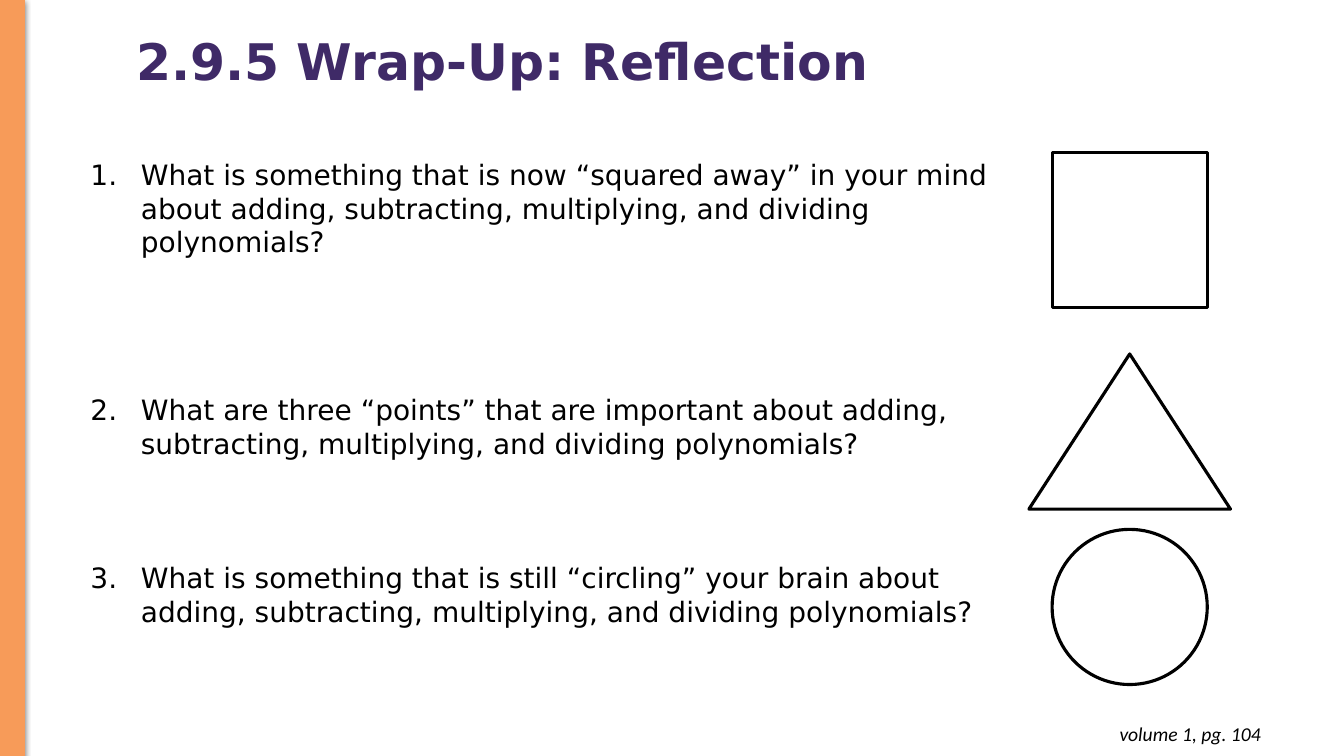
from dataclasses import dataclass

from lxml import etree
from pptx import Presentation
from pptx.dml.color import RGBColor
from pptx.enum.shapes import MSO_SHAPE
from pptx.enum.text import MSO_ANCHOR, PP_ALIGN
from pptx.oxml.ns import qn
from pptx.shapes.autoshape import Shape
from pptx.slide import Slide
from pptx.util import Cm, Pt

RECTANGLE = MSO_SHAPE.RECTANGLE
TRIANGLE = MSO_SHAPE.ISOSCELES_TRIANGLE
OVAL = MSO_SHAPE.OVAL
TOP, MIDDLE = MSO_ANCHOR.TOP, MSO_ANCHOR.MIDDLE
LEFT, RIGHT = PP_ALIGN.LEFT, PP_ALIGN.RIGHT

COLORS = {"bar": "F79B59", "title": "3F2A67", "ink": "000000"}
TEXT_FONT = "DejaVu Sans"
FIGURE_CENTER = 28.47
FIGURE_HEIGHT = 3.91


@dataclass
class Figure:
    preset: MSO_SHAPE
    top: float
    width: float


@dataclass
class TextBlock:
    left: float
    top: float
    width: float
    height: float
    paragraphs: list[str]
    size: float
    font: str = TEXT_FONT
    color: str = "ink"
    bold: bool = False
    italic: bool = False
    alignment: PP_ALIGN = LEFT
    anchor: MSO_ANCHOR = TOP
    vertical_margin: float = 0.13


FIGURES = [
    Figure(RECTANGLE, 3.84, 3.91),
    Figure(TRIANGLE, 8.92, 5.08),
    Figure(OVAL, 13.34, 3.91),
]
PAGE_REFERENCE = TextBlock(
    24.71, 17.93, 7.32, 1.12, ["volume 1, pg. 104"], 14,
    font="Calibri", italic=True, alignment=RIGHT, vertical_margin=0.25,
)
TITLE = TextBlock(
    3.18, 0.79, 29.64, 1.65, ["2.9.5 Wrap-Up: Reflection"], 36,
    color="title", bold=True, anchor=MIDDLE,
)
QUESTIONS = TextBlock(
    2.03, 3.84, 23.39, 12.22,
    [
        "What is something that is now “squared away” in your mind about "
        "adding, subtracting, multiplying, and dividing polynomials?",
        "What are three “points” that are important about adding, "
        "subtracting, multiplying, and dividing polynomials?",
        "What is something that is still “circling” your brain about "
        "adding, subtracting, multiplying, and dividing polynomials?",
    ],
    20,
)
QUESTION_GAPS = [0, 96, 72]


def rgb(name: str) -> RGBColor:
    return RGBColor.from_string(COLORS[name])


def add_shadow(shape: Shape) -> None:
    """Give the shape a soft, half-transparent shadow below it."""
    effects = shape._element.spPr.find(qn("a:effectLst"))
    shadow = etree.SubElement(
        effects, qn("a:outerShdw"), blurRad=str(Pt(4.5)), dist=str(Pt(1.5)),
        dir="5400000", rotWithShape="0",
    )
    color = etree.SubElement(shadow, qn("a:srgbClr"), val=COLORS["ink"])
    etree.SubElement(color, qn("a:alpha"), val="50000")


def add_side_bar(slide: Slide) -> None:
    bar = slide.shapes.add_shape(RECTANGLE, 0, 0, Cm(0.61), Cm(19.08))
    bar.shadow.inherit = False
    bar.fill.solid()
    bar.fill.fore_color.rgb = rgb("bar")
    bar.line.color.rgb = rgb("bar")
    bar.line.width = Pt(0.75)
    add_shadow(bar)


def add_figure(slide: Slide, figure: Figure) -> None:
    shape = slide.shapes.add_shape(
        figure.preset, Cm(FIGURE_CENTER - figure.width / 2), Cm(figure.top),
        Cm(figure.width), Cm(FIGURE_HEIGHT),
    )
    shape.shadow.inherit = False
    shape.fill.background()
    shape.line.color.rgb = rgb("ink")
    shape.line.width = Pt(2.25)


def add_text(slide: Slide, block: TextBlock) -> Shape:
    box = slide.shapes.add_textbox(
        Cm(block.left), Cm(block.top), Cm(block.width), Cm(block.height)
    )
    frame = box.text_frame
    frame.word_wrap = True
    frame.vertical_anchor = block.anchor
    frame.margin_top = frame.margin_bottom = Cm(block.vertical_margin)
    frame.text = "\n".join(block.paragraphs)
    for paragraph in frame.paragraphs:
        paragraph.alignment = block.alignment
        for run in paragraph.runs:
            run.font.name = block.font
            run.font.size = Pt(block.size)
            run.font.bold = block.bold
            run.font.italic = block.italic
            run.font.color.rgb = rgb(block.color)
    return box


def number_questions(box: Shape) -> None:
    for paragraph, gap in zip(box.text_frame.paragraphs, QUESTION_GAPS):
        paragraph.space_before = Pt(gap)
        properties = paragraph._p.get_or_add_pPr()
        properties.set("marL", str(Cm(1.27)))
        properties.set("indent", str(Cm(-1.27)))
        bullet_color = etree.SubElement(properties, qn("a:buClr"))
        etree.SubElement(bullet_color, qn("a:srgbClr"), val=COLORS["ink"])
        etree.SubElement(properties, qn("a:buFont"), typeface=TEXT_FONT)
        etree.SubElement(properties, qn("a:buAutoNum"), type="arabicPeriod")


def main() -> None:
    presentation = Presentation()
    presentation.slide_width = Cm(33.87)
    presentation.slide_height = Cm(19.05)
    slide = presentation.slides.add_slide(presentation.slide_layouts[6])
    add_side_bar(slide)
    for figure in FIGURES:
        add_figure(slide, figure)
    add_text(slide, PAGE_REFERENCE)
    title = add_text(slide, TITLE)
    title.text_frame.paragraphs[0].line_spacing = 0.9
    number_questions(add_text(slide, QUESTIONS))
    presentation.save("out.pptx")


if __name__ == "__main__":
    main()
